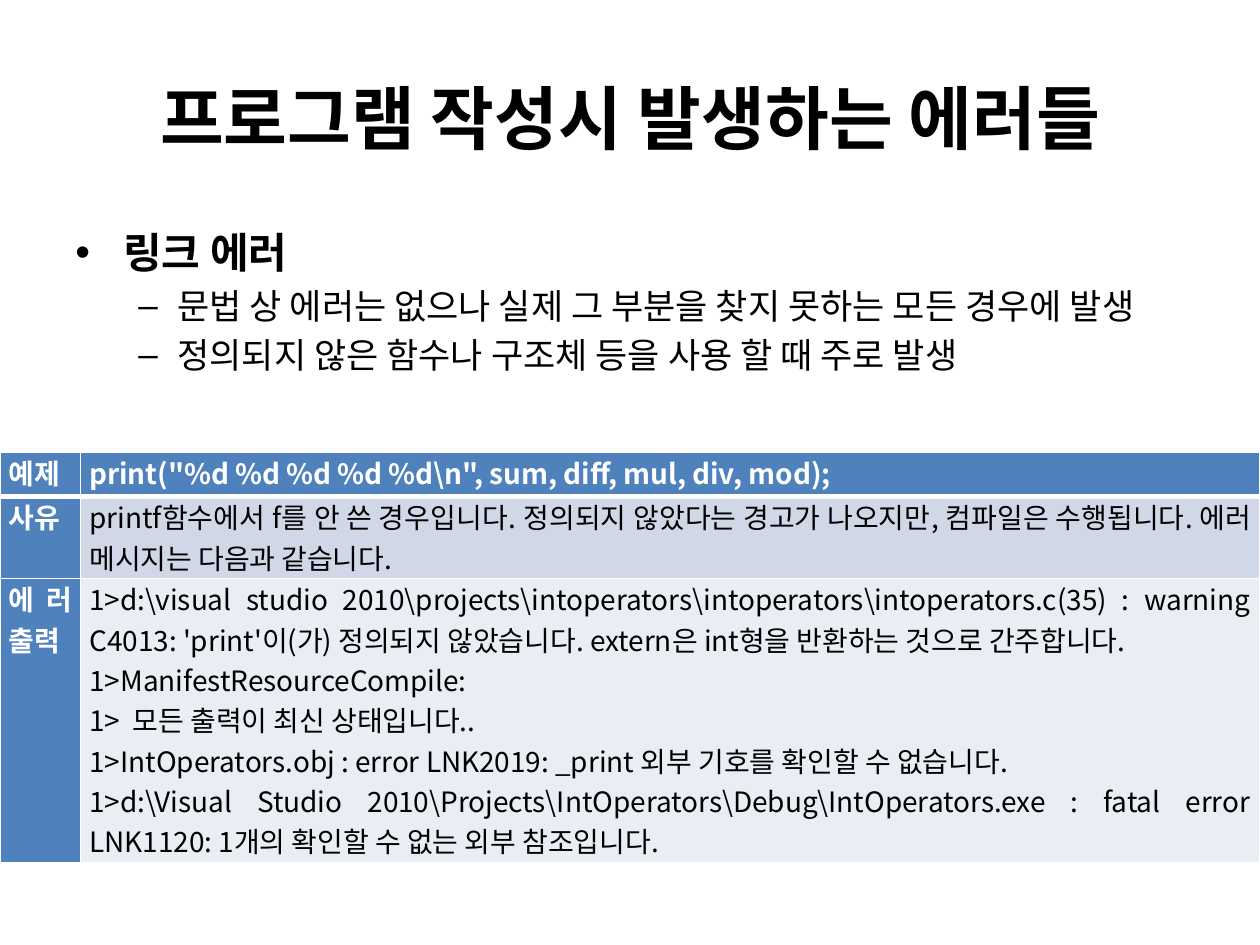
from pptx import Presentation
from pptx.dml.color import RGBColor
from pptx.enum import text
from pptx.oxml import xmlchemy as x
from pptx.oxml.ns import qn
from pptx.util import Inches, Pt

FONT = "Noto Sans CJK KR"
BLACK, WHITE, BLUE = "000000", "FFFFFF", "4F81BD"

# Content
TITLE = "프로그램 작성시 발생하는 에러들"
BULLETS = [  # level, text
    (0, "링크 에러"),
    (1, "문법 상 에러는 없으나 실제 그 부분을 찾지 못하는 모든 경우에 발생"),
    (1, "정의되지 않은 함수나 구조체 등을 사용 할 때 주로 발생"),
]
LEVELS = [  # mark, left margin, hanging indent, size, bold, space before
    ("•", 0.38, 0.38, 24, True, 4.8),
    ("–", 0.81, 0.31, 20, False, 4),
]
ROWS = [  # height, fill of the second cell, label, lines
    (0.35, BLUE, "예제", [r'print("%d %d %d %d %d\n", sum, diff, mul, div, mod);']),
    (0.65, "D0D8E8", "사유", [
        "printf함수에서 f를 안 쓴 경우입니다. 정의되지 않았다는 경고가 나오지만, "
        "컴파일은 수행됩니다. 에러 메시지는 다음과 같습니다."]),
    (2.26, "E9EDF4", "에러출력", [
        r"1>d:\visual studio 2010\projects\intoperators\intoperators\intoperators.c(35)"
        " : warning C4013: 'print'이(가) 정의되지 않았습니다. "
        "extern은 int형을 반환하는 것으로 간주합니다.",
        "1>ManifestResourceCompile:",
        "1>  모든 출력이 최신 상태입니다..",
        "1>IntOperators.obj : error LNK2019: _print 외부 기호를 확인할 수 없습니다.",
        r"1>d:\Visual Studio 2010\Projects\IntOperators\Debug\IntOperators.exe"
        " : fatal error LNK1120: 1개의 확인할 수 없는 외부 참조입니다."]),
]
COLUMNS = [0.64, 9.36]


def rgb(value):
    return RGBColor.from_string(value)


def add(parent, tag, **attrs):
    child = x.OxmlElement(tag)
    for name, value in attrs.items():
        child.set(name, str(value))
    parent.append(child)
    return child


def style(p, size, color, bold):
    f = p.font
    f.size, f.bold, f.name = Pt(size), bold, FONT
    f.color.rgb = rgb(color)
    add(p._p.pPr.find(qn("a:defRPr")), "a:ea", typeface=FONT)


def border(cell, side, width):
    ln = add(cell._tc.get_or_add_tcPr(), f"a:ln{side}", w=Pt(width))
    add(add(ln, "a:solidFill"), "a:srgbClr", val=WHITE)


def fill_cell(cell, lines, fill, color, bold, top, bottom):
    cell.margin_left = cell.margin_right = Inches(0.07)
    cell.margin_top = cell.margin_bottom = 0
    for side, width in (("L", 1), ("R", 1), ("T", top), ("B", bottom)):
        border(cell, side, width)
    cell.fill.solid()
    cell.fill.fore_color.rgb = rgb(fill)
    cell.text_frame.text = "\n".join(lines)
    for p in cell.text_frame.paragraphs:
        p.alignment = text.PP_ALIGN.JUSTIFY
        style(p, 16, color, bold)


prs = Presentation()
prs.slide_width, prs.slide_height = Inches(10), Inches(7.5)
s = prs.slides.add_slide(prs.slide_layouts[5])

# Title
title = s.shapes.title
title.left, title.top, title.width, title.height = map(Inches, (0.5, 0.3, 9, 1.25))
tf = title.text_frame
tf.text = TITLE
tf.vertical_anchor = text.MSO_ANCHOR.MIDDLE
tf.paragraphs[0].alignment = text.PP_ALIGN.CENTER
style(tf.paragraphs[0], 39.6, BLACK, True)

# Bullets
tf = s.shapes.add_textbox(*map(Inches, (0.5, 1.75, 9, 4.95))).text_frame
tf.word_wrap = True
tf.text = "\n".join(line for _, line in BULLETS)
for i, (p, (level, _)) in enumerate(zip(tf.paragraphs, BULLETS)):
    mark, left, hang, size, bold, before = LEVELS[level]
    p.level = level
    if i:
        p.space_before = Pt(before)
    pPr = p._p.get_or_add_pPr()
    pPr.set("marL", str(Inches(left)))
    pPr.set("indent", str(-Inches(hang)))
    add(pPr, "a:buFont", typeface="Arial")
    add(pPr, "a:buChar", char=mark)
    style(p, size, BLACK, bold)

# Error table
height = sum(row[0] for row in ROWS)
table = s.shapes.add_table(len(ROWS), len(COLUMNS), 0, Inches(3.59),
                           Inches(10), Inches(height)).table
for column, width in zip(table.columns, COLUMNS):
    column.width = Inches(width)
for i, (height, fill, label, lines) in enumerate(ROWS):
    table.rows[i].height = Inches(height)
    head = i == 0
    top, bottom = 3 if i == 1 else 1, 3 if head else 1
    fill_cell(table.cell(i, 0), [label], BLUE, WHITE, True, top, bottom)
    fill_cell(table.cell(i, 1), lines, fill, WHITE if head else BLACK, head, top, bottom)

prs.save("out.pptx")
